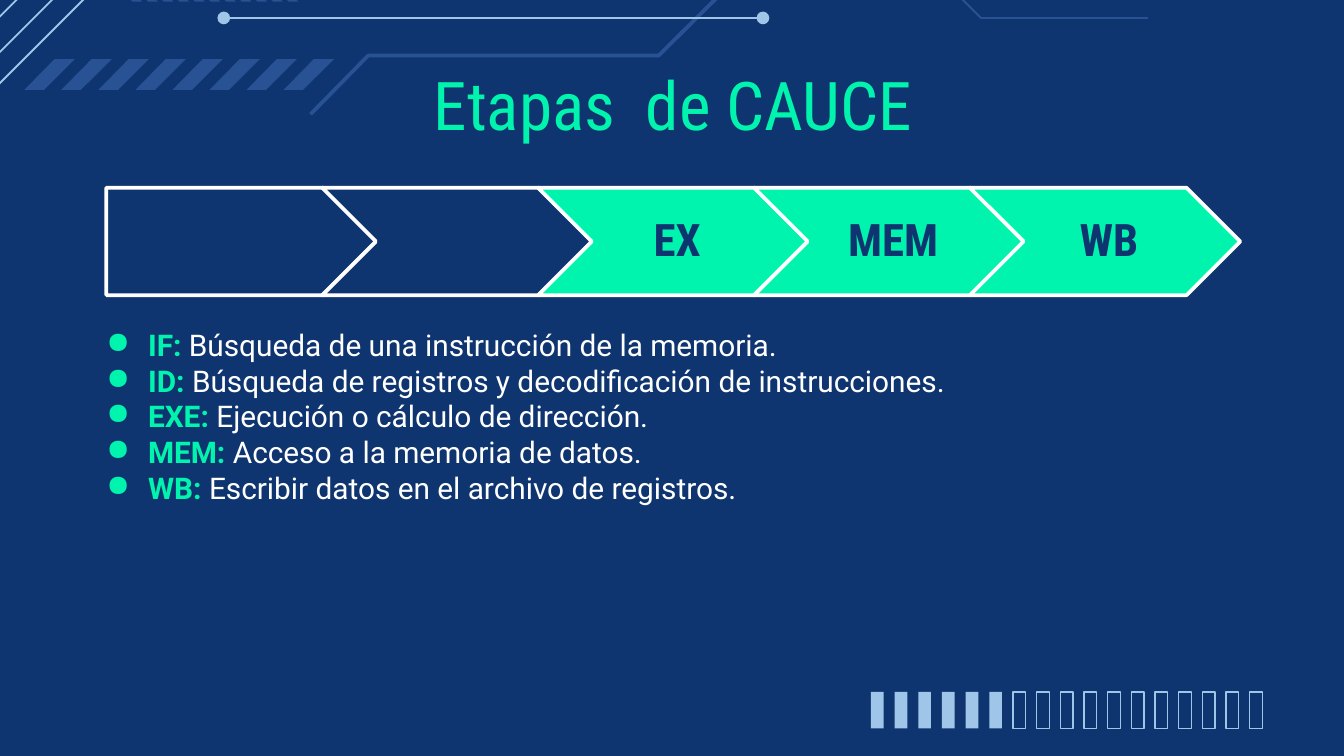
from dataclasses import dataclass

from lxml import etree
from pptx import Presentation
from pptx.dml.color import RGBColor
from pptx.enum.shapes import MSO_CONNECTOR, MSO_SHAPE
from pptx.enum.text import MSO_ANCHOR, PP_ALIGN
from pptx.oxml.ns import qn
from pptx.util import Cm, Pt

STRAIGHT = MSO_CONNECTOR.STRAIGHT
PENTAGON, CHEVRON = MSO_SHAPE.PENTAGON, MSO_SHAPE.CHEVRON
RECTANGLE, OVAL = MSO_SHAPE.RECTANGLE, MSO_SHAPE.OVAL
MIDDLE = MSO_ANCHOR.MIDDLE
CENTER, JUSTIFY = PP_ALIGN.CENTER, PP_ALIGN.JUSTIFY

COLORS = {
    "navy": "0F3570",
    "blue": "285293",
    "sky": "9FC5E8",
    "green": "00F4AD",
    "white": "FFFFFF",
}
HEADING_FONT, BODY_FONT = "Roboto Condensed", "Roboto"

Point = tuple[float, float]


@dataclass
class Trace:
    """An open circuit line, with its points in cm."""
    points: list[Point]
    color: str
    width: float


@dataclass
class Stage:
    """One step of the pipeline band."""
    label: str
    kind: MSO_SHAPE
    fill: str


@dataclass
class Definition:
    term: str
    meaning: str


TRACES = [
    Trace([(5.87, 2.16), (6.96, 1.05), (12.45, 1.05), (13.89, -0.38), (16.4, -0.38)], "blue", 2),
    Trace([(21.7, 0.34), (18.54, 0.34), (17.23, -0.97), (14.86, -0.97)], "blue", 1),
]
LINES = [
    Trace([(-0.48, 2.05), (3.23, -1.66)], "sky", 1),
    Trace([(-1.1, 2.08), (2.65, -1.67)], "sky", 1),
    Trace([(-1.56, 1.87), (2.2, -1.89)], "sky", 1),
    Trace([(4.24, 0.34), (14.42, 0.34)], "sky", 1),
]
SLASH = [(0.37, 1.7), (0.95, 1.12), (0.57, 1.12), (0, 1.7)]
ARROWHEAD = [(0.48, 0.03), (0.19, -0.23), (0.46, -0.48), (0.27, -0.48), (0, -0.23), (0.3, 0.03)]

STAGES = [
    Stage("", PENTAGON, "navy"),
    Stage("", CHEVRON, "navy"),
    Stage("EX", CHEVRON, "green"),
    Stage("MEM", CHEVRON, "green"),
    Stage("WB", CHEVRON, "green"),
]
DEFINITIONS = [
    Definition("IF: ", "Búsqueda de una instrucción de la memoria."),
    Definition("ID: ", "Búsqueda de registros y decodificación de instrucciones."),
    Definition("EXE: ", "Ejecución o cálculo de dirección."),
    Definition("MEM: ", "Acceso a la memoria de datos."),
    Definition("WB: ", "Escribir datos en el archivo de registros."),
]


def rgb(color: str) -> RGBColor:
    return RGBColor.from_string(COLORS[color])


def style(shape, fill: str | None = None, line: str | None = None, width: float = 0) -> None:
    shape.shadow.inherit = False
    if fill:
        shape.fill.solid()
        shape.fill.fore_color.rgb = rgb(fill)
    else:
        shape.fill.background()
    if line:
        shape.line.color.rgb = rgb(line)
        shape.line.width = Pt(width)
    else:
        shape.line.fill.background()


def add_preset(page, kind: MSO_SHAPE, left: float, top: float, width: float, height: float):
    return page.shapes.add_shape(kind, Cm(left), Cm(top), Cm(width), Cm(height))


def add_outline(page, points: list[Point], closed: bool, shift: float = 0):
    corners = [(Cm(x + shift), Cm(y)) for x, y in points]
    builder = page.shapes.build_freeform(*corners[0])
    builder.add_line_segments(corners[1:], close=closed)
    return builder.convert_to_shape()


def add_line(page, trace: Trace) -> None:
    (x1, y1), (x2, y2) = trace.points
    line = page.shapes.add_connector(STRAIGHT, Cm(x1), Cm(y1), Cm(x2), Cm(y2))
    line.line.color.rgb = rgb(trace.color)
    line.line.width = Pt(trace.width)
    etree.SubElement(line._element.spPr, qn("a:effectLst"))


def add_text_box(page, left: float, top: float, width: float, height: float):
    frame = page.shapes.add_textbox(Cm(left), Cm(top), Cm(width), Cm(height)).text_frame
    frame.word_wrap = True
    frame.margin_left = frame.margin_right = frame.margin_top = frame.margin_bottom = 0
    return frame


def add_span(para, text: str, font: str, size: float, color: str, bold: bool = False) -> None:
    span = para.add_run()
    span.text = text
    span.font.name = font
    span.font.size = Pt(size)
    span.font.bold = bold
    span.font.color.rgb = rgb(color)


def add_bullet(para, color: str) -> None:
    props = para._p.get_or_add_pPr()
    props.set("marL", str(Cm(0.79)))
    props.set("indent", str(-Cm(0.79)))
    tint = etree.SubElement(props, qn("a:buClr"))
    etree.SubElement(tint, qn("a:srgbClr"), val=COLORS[color])
    etree.SubElement(props, qn("a:buChar"), char="●")


def add_stage(page, stage: Stage, left: float) -> None:
    shape = add_preset(page, stage.kind, left, 3.55, 5.11, 2.03)
    style(shape, stage.fill, "white", 2)
    etree.SubElement(shape.line._get_or_add_ln(), qn("a:round"))
    if stage.label:
        frame = shape.text_frame
        frame.vertical_anchor = MIDDLE
        frame.margin_left, frame.margin_right = Cm(0.25), Cm(0.1)
        frame.margin_top = frame.margin_bottom = Cm(0.18)
        para = frame.paragraphs[0]
        para.alignment = CENTER
        para.line_spacing = 0.9
        add_span(para, stage.label, HEADING_FONT, 24, "navy", bold=True)


def add_decoration(page) -> None:
    # Circuit lines and their end dots
    for trace in TRACES:
        style(add_outline(page, trace.points, closed=False), None, trace.color, trace.width)
    for line in LINES:
        add_line(page, line)
    for left in (4.11, 14.3):
        style(add_preset(page, OVAL, left, 0.22, 0.24, 0.24), "sky")
    # Slanted stripes and the arrowheads at the top edge
    for i in range(8):
        style(add_outline(page, SLASH, True, 0.46 + 0.7 * i), "blue")
    for i in range(11):
        style(add_outline(page, ARROWHEAD, True, 2.21 + 2.95 / 10 * i), "blue")
    # Progress bars: the first six are full
    for i in range(17):
        bar = add_preset(page, RECTANGLE, 16.46 + 7.16 / 16 * i, 13.08, 0.24, 0.69)
        if i < 6:
            style(bar, "sky")
        else:
            style(bar, None, "sky", 0.75)


def main() -> None:
    deck = Presentation()
    deck.slide_width, deck.slide_height = Cm(25.4), Cm(14.29)
    page = deck.slides.add_slide(deck.slide_layouts[6])
    page.background.fill.solid()
    page.background.fill.fore_color.rgb = rgb("navy")
    add_decoration(page)

    # Title
    title = add_text_box(page, 2.01, 1.19, 21.41, 1.35).paragraphs[0]
    title.alignment = CENTER
    add_span(title, "Etapas  de CAUCE", HEADING_FONT, 36, "green")

    # Definitions of the stages
    frame = add_text_box(page, 2.01, 6.17, 21.41, 6.53)
    for i, item in enumerate(DEFINITIONS):
        para = frame.add_paragraph() if i else frame.paragraphs[0]
        para.alignment = JUSTIFY
        add_bullet(para, "green")
        add_span(para, item.term, BODY_FONT, 16, "green", bold=True)
        add_span(para, item.meaning, BODY_FONT, 16, "white")

    # Pipeline band
    for i, stage in enumerate(STAGES):
        add_stage(page, stage, 2.01 + 4.08 * i)

    deck.save("out.pptx")


if __name__ == "__main__":
    main()
